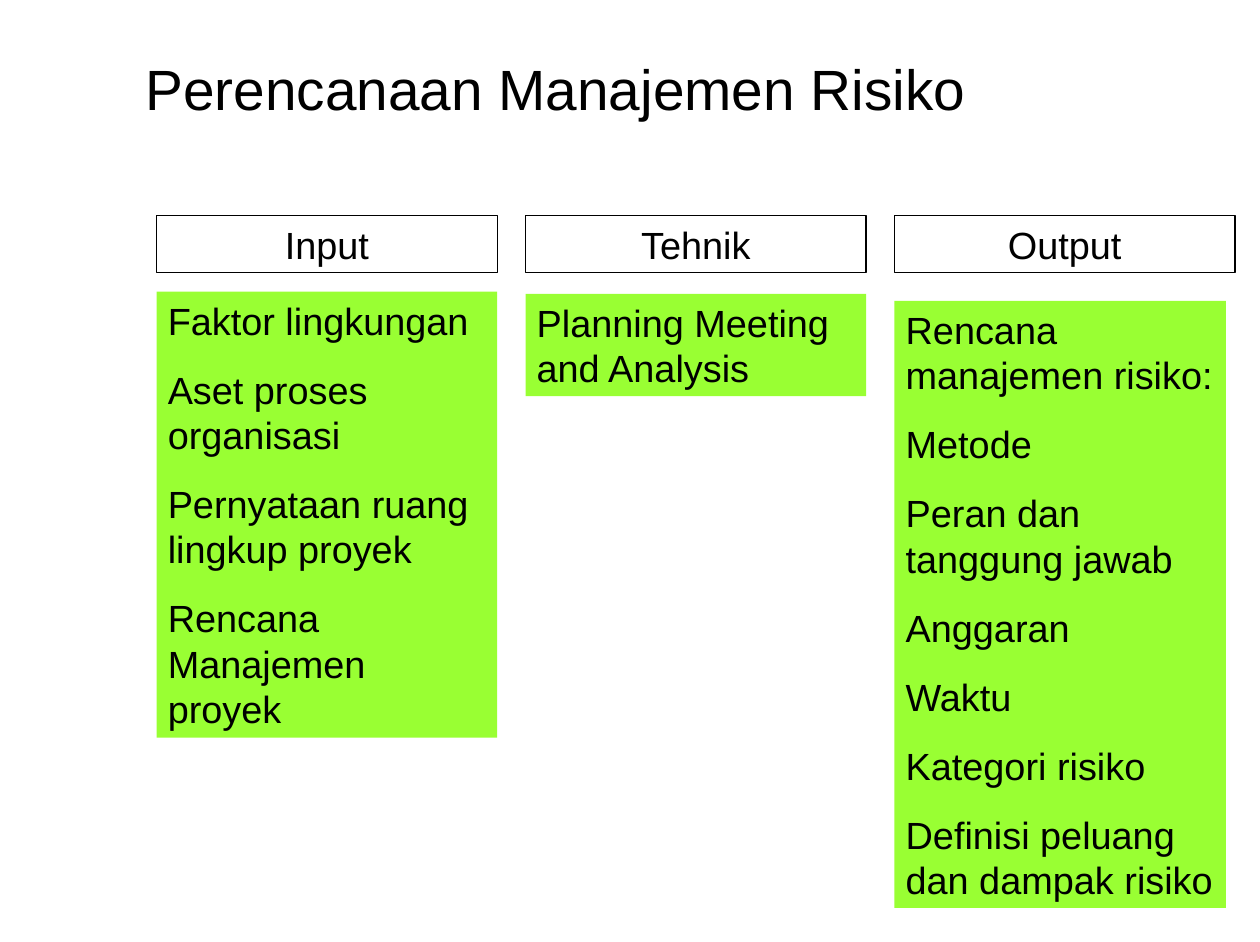
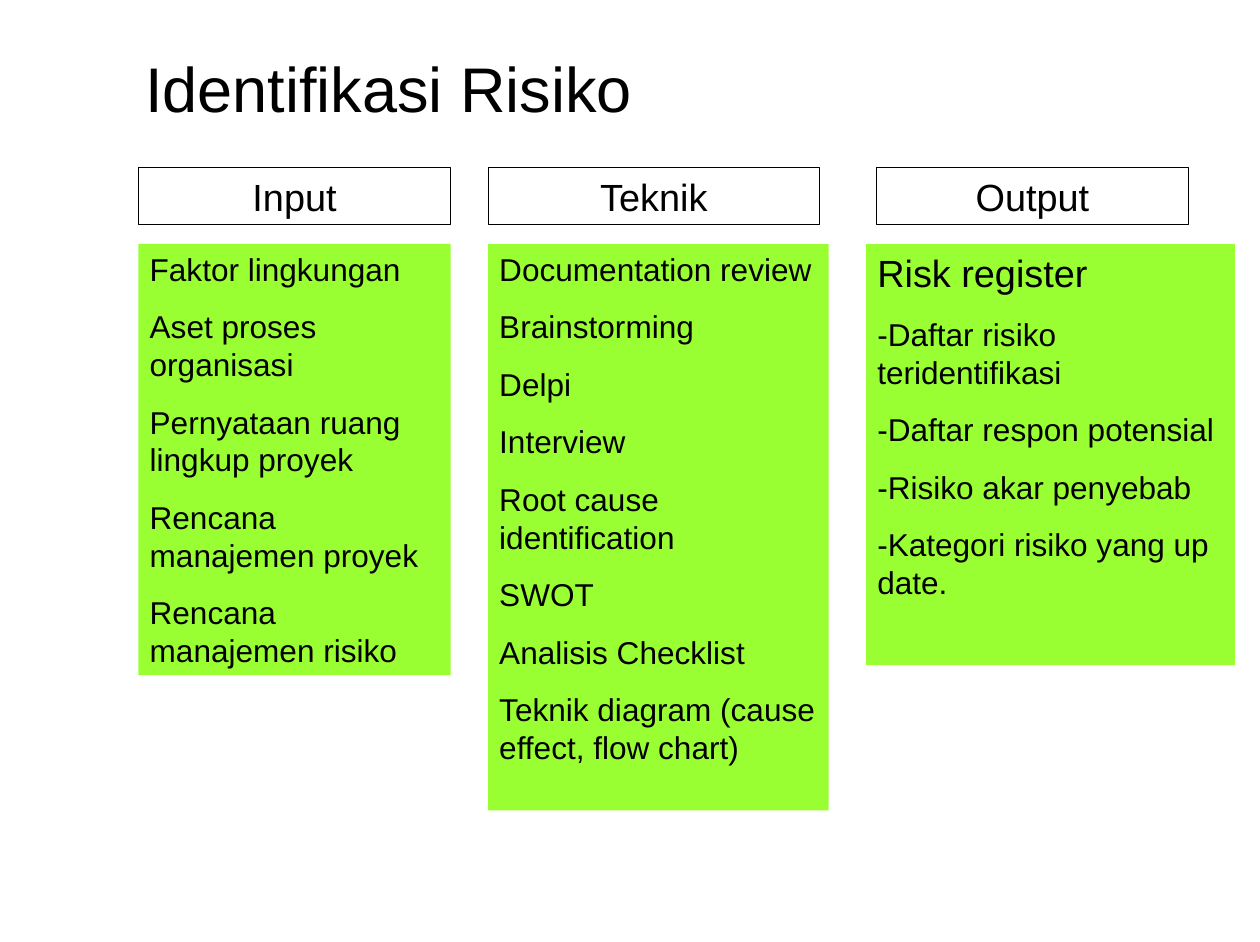
from dataclasses import dataclass
from typing import Any

import pptx
import pptx.dml.color
import pptx.enum.shapes
import pptx.enum.text
import pptx.util

Inches = pptx.util.Inches
Pt = pptx.util.Pt
Align = pptx.enum.text.PP_ALIGN
Anchor = pptx.enum.text.MSO_ANCHOR

BLACK = "000000"
GREEN = "99FF33"
FONT = "Arial"
HEADING_SIZE = 24
HEADING_HEIGHT = 0.5
SPACE_RATIO = 0.625
TITLE_BOX = (1.17, 0.08, 9.75, 1.38)
FRAME_FORMAT = {
    "word_wrap": True,
    "auto_size": pptx.enum.text.MSO_AUTO_SIZE.NONE,
}
TITLE_FORMAT = FRAME_FORMAT | {
    "vertical_anchor": Anchor.MIDDLE,
    "margin_left": Inches(0.11),
    "margin_right": Inches(0.11),
    "margin_top": Inches(0.06),
    "margin_bottom": Inches(0.06),
}
BOX_FORMAT = FRAME_FORMAT | {
    "vertical_anchor": Anchor.TOP,
    "margin_left": Inches(0.1),
    "margin_right": Inches(0.1),
    "margin_top": Inches(0.05),
    "margin_bottom": Inches(0.05),
}


@dataclass(frozen=True)
class Line:
    text: str
    size: int


@dataclass(frozen=True)
class Column:
    heading: str
    heading_left: float
    heading_width: float
    list_box: tuple[float, float, float, float]
    lines: list[Line]


@dataclass(frozen=True)
class Page:
    title: Line
    heading_top: float
    columns: list[Column]


def lines_of(size: int, *texts: str) -> list[Line]:
    return [Line(text, size) for text in texts]


PAGES = [
    Page(Line("Perencanaan Manajemen Risiko", 36), 1.9, [
        Column("Input", 1.38, 3, (1.38, 2.57, 3, 3.93), lines_of(
            24,
            "Faktor lingkungan",
            "Aset proses organisasi",
            "Pernyataan ruang lingkup proyek",
            "Rencana Manajemen proyek",
        )),
        Column("Tehnik", 4.63, 3, (4.63, 2.59, 3, 0.9), lines_of(
            24, "Planning Meeting and Analysis",
        )),
        Column("Output", 7.88, 3, (7.88, 2.65, 2.92, 5.35), lines_of(
            24,
            "Rencana manajemen risiko:",
            "Metode",
            "Peran dan tanggung jawab",
            "Anggaran",
            "Waktu",
            "Kategori risiko",
            "Definisi peluang dan dampak risiko",
        )),
    ]),
    Page(Line("Identifikasi Risiko", 40), 1.48, [
        Column("Input", 1.22, 2.75, (1.22, 2.15, 2.75, 3.8), lines_of(
            20,
            "Faktor lingkungan",
            "Aset proses organisasi",
            "Pernyataan ruang lingkup proyek",
            "Rencana manajemen proyek",
            "Rencana manajemen risiko",
        )),
        Column("Teknik", 4.3, 2.92, (4.3, 2.15, 3, 4.99), lines_of(
            20,
            "Documentation review",
            "Brainstorming",
            "Delpi",
            "Interview",
            "Root cause identification",
            "SWOT",
            "Analisis Checklist",
            "Teknik diagram (cause effect, flow chart)",
        )),
        Column("Output", 7.72, 2.75, (7.63, 2.15, 3.25, 3.71), [
            Line("Risk register", 24),
            *lines_of(
                20,
                "-Daftar risiko teridentifikasi",
                "-Daftar respon potensial",
                "-Risiko akar penyebab",
                "-Kategori risiko yang up date.",
            ),
        ]),
    ]),
]


def color(value: str) -> pptx.dml.color.RGBColor:
    return pptx.dml.color.RGBColor.from_string(value)


def apply_format(target: Any, values: dict[str, Any]) -> None:
    for name, value in values.items():
        setattr(target, name, value)


def write_lines(shape: Any, lines: list[Line], alignment: Any, frame_format: dict[str, Any]) -> None:
    frame = shape.text_frame
    apply_format(frame, frame_format)
    for index, line in enumerate(lines):
        paragraph = frame.add_paragraph() if index else frame.paragraphs[0]
        paragraph.text = line.text
        space = Pt(line.size * SPACE_RATIO) if index else Pt(0)
        apply_format(paragraph, {"alignment": alignment, "space_before": space})
        apply_format(paragraph.font, {"name": FONT, "size": Pt(line.size)})
        paragraph.font.color.rgb = color(BLACK)


def add_box(slide: Any, box: tuple[float, float, float, float]) -> Any:
    rectangle = pptx.enum.shapes.MSO_SHAPE.RECTANGLE
    shape = slide.shapes.add_shape(rectangle, *map(Inches, box))
    shape.shadow.inherit = False
    return shape


def add_column(slide: Any, column: Column, heading_top: float) -> None:
    heading = add_box(slide, (column.heading_left, heading_top, column.heading_width, HEADING_HEIGHT))
    heading.fill.background()
    heading.line.color.rgb = color(BLACK)
    heading.line.width = Pt(0.75)
    write_lines(heading, [Line(column.heading, HEADING_SIZE)], Align.CENTER, BOX_FORMAT)

    list_shape = add_box(slide, column.list_box)
    list_shape.fill.solid()
    list_shape.fill.fore_color.rgb = color(GREEN)
    list_shape.line.fill.background()
    write_lines(list_shape, column.lines, Align.LEFT, BOX_FORMAT)


def add_page(presentation: Any, page: Page) -> None:
    slide = presentation.slides.add_slide(presentation.slide_layouts[5])
    title = slide.shapes.title
    apply_format(title, dict(zip(("left", "top", "width", "height"), map(Inches, TITLE_BOX))))
    write_lines(title, [page.title], Align.LEFT, TITLE_FORMAT)
    for column in page.columns:
        add_column(slide, column, page.heading_top)


def main() -> None:
    presentation = pptx.Presentation()
    apply_format(presentation, {"slide_width": Inches(11.1), "slide_height": Inches(8.3)})
    for page in PAGES:
        add_page(presentation, page)
    presentation.save("out.pptx")


if __name__ == "__main__":
    main()
